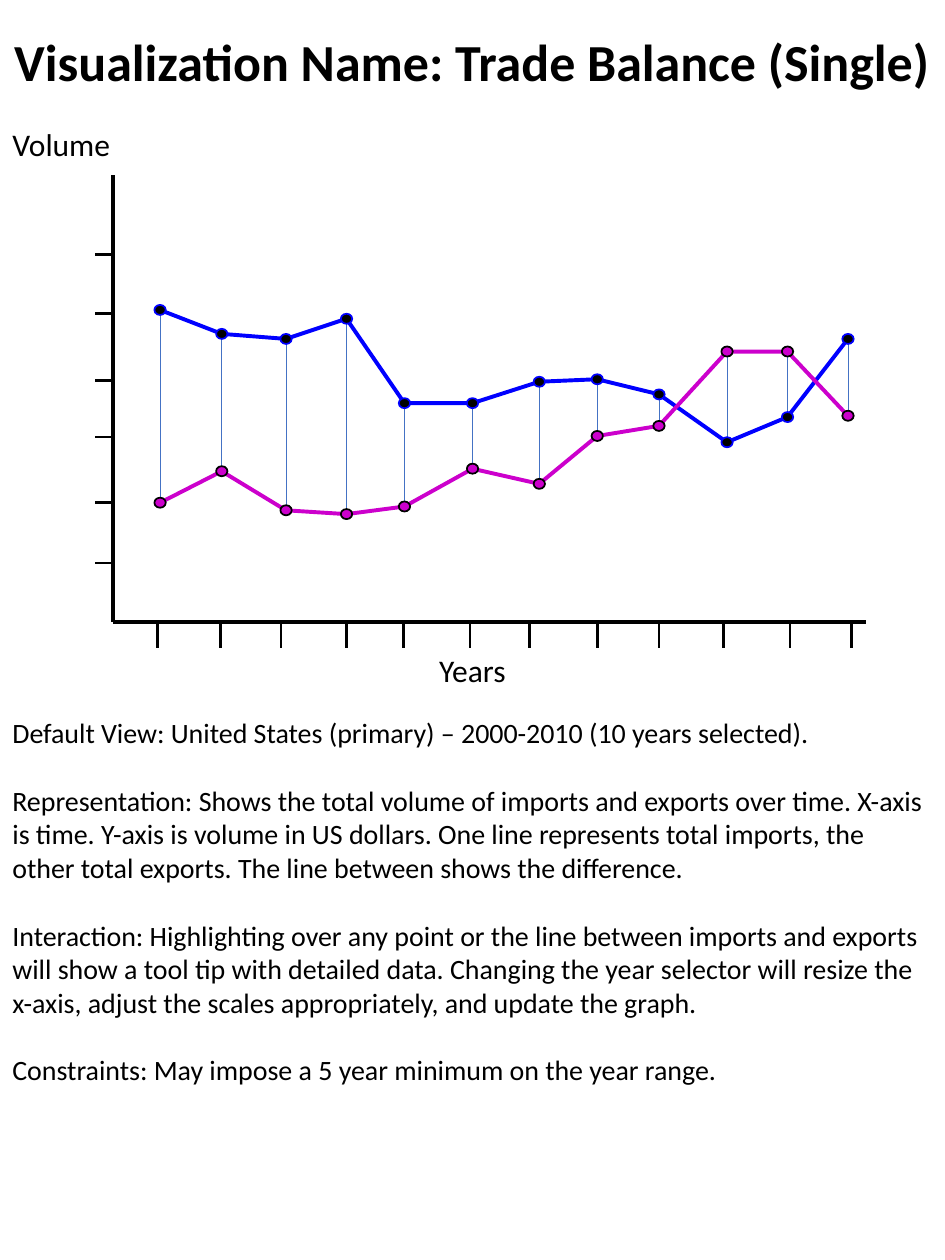
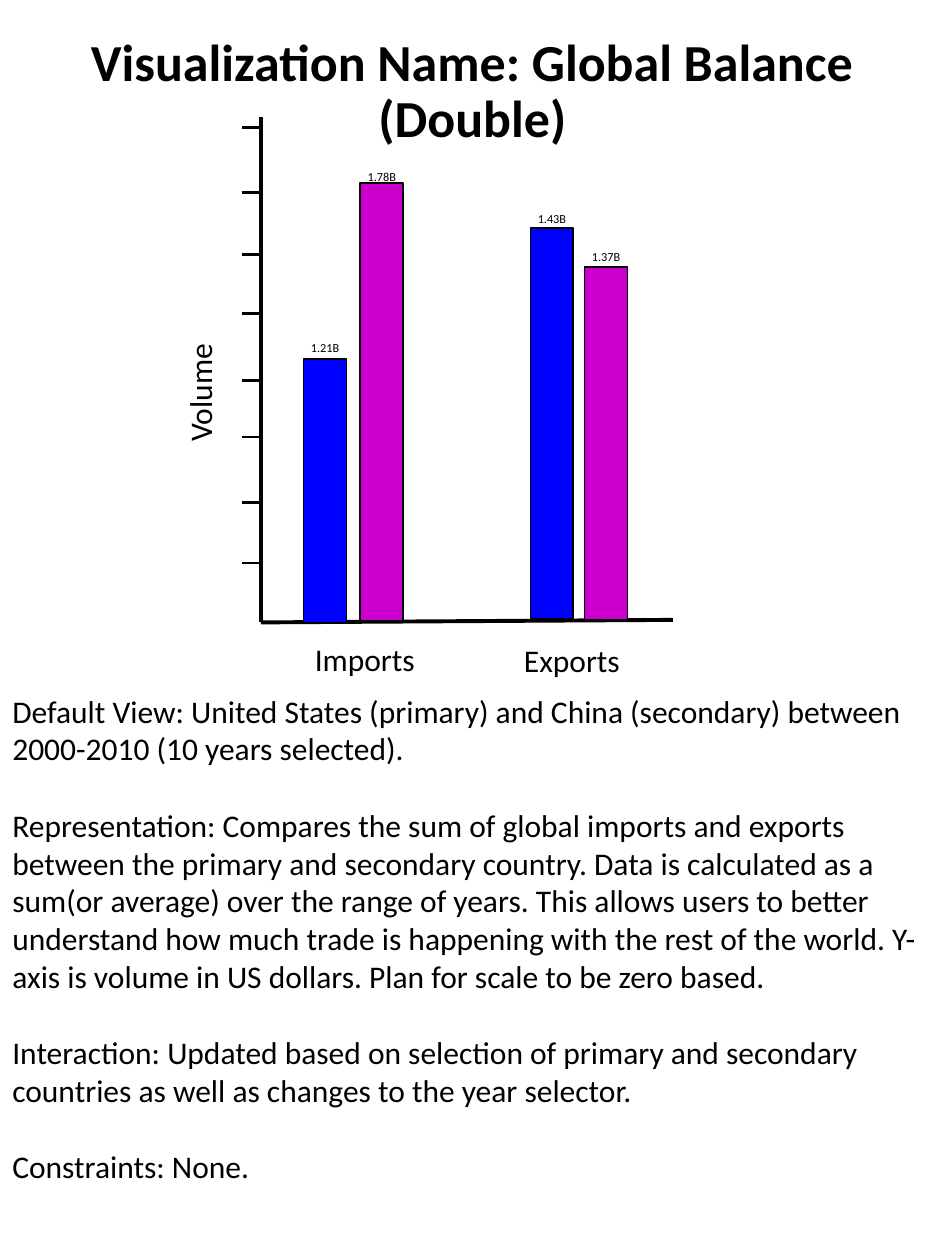
from lxml import etree
from pptx import Presentation
from pptx import util as u
from pptx.dml.color import RGBColor
from pptx.enum import shapes, text
from pptx.oxml import ns

FONT = "Calibri"
BLACK, BLUE, MAGENTA, STEEL = "000000", "0000FF", "CC00CC", "4472C4"
SLIDE_WIDTH, SLIDE_HEIGHT = 7.5, 10
BASELINE = 4.94
TICK = 0.15
VOLUME_TICKS = [4.47, 3.99, 3.47, 3.02, 2.49, 2.02, 1.53, 1.01]
YEAR_TICKS = [1.25, 1.75, 2.23, 2.75, 3.2, 3.73,
              4.2, 4.74, 5.23, 5.74, 6.27, 6.76]

# Heights on the page of the two lines, one value for each year
YEARS = [1.27, 1.76, 2.27, 2.75, 3.21, 3.75, 4.28, 4.74, 5.23, 5.77, 6.25, 6.73]
BLUE_LINE = [2.46, 2.65, 2.69, 2.53, 3.2, 3.2, 3.03, 3.01, 3.13, 3.51, 3.31, 2.69]
MAGENTA_LINE = [3.99, 3.74, 4.05, 4.08, 4.02, 3.72,
                3.84, 3.46, 3.38, 2.79, 2.79, 3.3]
MARKER_WIDTH, MARKER_HEIGHT = 0.09, 0.08

# Left, top, bottom, colour, value and top of the value's label
BAR_WIDTH = 0.34
BARS = [(2.41, 2.85, 4.94, BLUE, "1.21B", 2.65),
        (2.86, 1.45, 4.93, MAGENTA, "1.78B", 1.29),
        (4.21, 1.81, 4.91, BLUE, "1.43B", 1.63),
        (4.64, 2.12, 4.92, MAGENTA, "1.37B", 1.93)]

SINGLE_NOTES = [
    "Default View: United States (primary) – 2000-2010 (10 years selected).",
    "Representation: Shows the total volume of imports and exports over time. "
    "X-axis is time. Y-axis is volume in US dollars. One line represents total "
    "imports, the other total exports. The line between shows the difference.",
    "Interaction: Highlighting over any point or the line between imports and "
    "exports will show a tool tip with detailed data. Changing the year selector "
    "will resize the x-axis, adjust the scales appropriately, and update the graph.",
    "Constraints: May impose a 5 year minimum on the year range.",
]
DOUBLE_NOTES = [
    "Default View: United States (primary) and China (secondary) between "
    "2000-2010 (10 years selected).",
    "Representation: Compares the sum of global imports and exports between the "
    "primary and secondary country. Data is calculated as a sum(or average) over "
    "the range of years. This allows users to better understand how much trade is "
    "happening with the rest of the world. Y-axis is volume in US dollars. Plan "
    "for scale to be zero based.",
    "Interaction: Updated based on selection of primary and secondary countries "
    "as well as changes to the year selector.",
    "Constraints: None.",
]


def rgb(hex_colour):
    """Turn a hex string into a colour."""
    return RGBColor.from_string(hex_colour)


def box(left, top, width, height):
    """Give a position and size in inches as lengths."""
    return [u.Inches(side) for side in (left, top, width, height)]


def write(paragraph, words, size, bold=False):
    """Add one black run to a paragraph."""
    run = paragraph.add_run()
    run.text = words
    run.font.name = FONT
    run.font.size = u.Pt(size)
    run.font.bold = bold
    run.font.color.rgb = rgb(BLACK)


def add_titled_slide(deck, words):
    """Add a slide with the shared title style."""
    slide = deck.slides.add_slide(deck.slide_layouts[5])
    title = slide.shapes.title
    title.left, title.top, title.width, title.height = box(0, 0.24, SLIDE_WIDTH, 0.64)
    frame = title.text_frame
    frame.word_wrap = True
    frame.auto_size = text.MSO_AUTO_SIZE.NONE
    frame.vertical_anchor = text.MSO_ANCHOR.TOP
    paragraph = frame.paragraphs[0]
    paragraph.alignment = text.PP_ALIGN.CENTER
    paragraph.line_spacing = 0.9
    write(paragraph, words, 29.7, bold=True)
    return slide


def add_label(slide, words, place, size=18, wrap=False, rotation=0):
    """Add a one-line label; a wrapping one is centred in its width."""
    label = slide.shapes.add_textbox(*box(*place))
    label.rotation = rotation
    frame = label.text_frame
    frame.word_wrap = wrap
    frame.auto_size = text.MSO_AUTO_SIZE.SHAPE_TO_FIT_TEXT
    paragraph = frame.paragraphs[0]
    if wrap:
        paragraph.alignment = text.PP_ALIGN.CENTER
    write(paragraph, words, size)


def add_notes(slide, notes, top, height, size):
    """Add the description, with one line of space between paragraphs."""
    frame = slide.shapes.add_textbox(*box(0, top, SLIDE_WIDTH, height)).text_frame
    frame.word_wrap = True
    frame.auto_size = text.MSO_AUTO_SIZE.SHAPE_TO_FIT_TEXT
    for index, note in enumerate(notes):
        paragraph = frame.add_paragraph() if index else frame.paragraphs[0]
        if index:
            paragraph.space_before = u.Pt(round(size * 1.22, 1))
        write(paragraph, note, size)


def add_line(slide, start, end, colour=BLACK, weight=1.5):
    """Add a straight line without a shadow."""
    line = slide.shapes.add_connector(
        shapes.MSO_CONNECTOR.STRAIGHT, *box(*start, *end))
    line.line.color.rgb = rgb(colour)
    line.line.width = u.Pt(weight)
    etree.SubElement(line._element.spPr, ns.qn("a:effectLst"))


def add_filled(slide, kind, place, fill, outline=BLACK):
    """Add a filled preset shape with a thin outline."""
    shape = slide.shapes.add_shape(kind, *box(*place))
    shape.shadow.inherit = False
    shape.fill.solid()
    shape.fill.fore_color.rgb = rgb(fill)
    shape.line.color.rgb = rgb(outline)
    shape.line.width = u.Pt(1)


def add_axes(slide, left, top, right_end, ticks):
    """Add both axes and the ticks of the volume axis."""
    add_line(slide, (left, top), (left, BASELINE), weight=2.25)
    add_line(slide, (left, BASELINE), right_end, weight=2.25)
    for y in ticks:
        add_line(slide, (left, y), (left - TICK, y))


def add_series_line(slide, heights, colour):
    """Join the yearly points of one series."""
    points = [(u.Inches(x), u.Inches(y)) for x, y in zip(YEARS, heights)]
    builder = slide.shapes.build_freeform(*points[0], scale=1.0)
    builder.add_line_segments(points[1:], close=False)
    series = builder.convert_to_shape()
    series.shadow.inherit = False
    series.fill.background()
    series.line.color.rgb = rgb(colour)
    series.line.width = u.Pt(2.25)


def add_markers(slide, heights, fill, outline):
    """Put a dot on each yearly point of one series."""
    for x, y in zip(YEARS, heights):
        place = (x - MARKER_WIDTH / 2, y - MARKER_HEIGHT / 2,
                 MARKER_WIDTH, MARKER_HEIGHT)
        add_filled(slide, shapes.MSO_SHAPE.OVAL, place, fill, outline)


def build_single_balance(deck):
    """Build the slide with the two lines over the years."""
    slide = add_titled_slide(deck, "Visualization Name: Trade Balance (Single)")
    add_notes(slide, SINGLE_NOTES, 5.63, 3.06, 16)
    add_axes(slide, 0.9, 1.39, (6.87, BASELINE), VOLUME_TICKS[:6])
    for x in YEAR_TICKS:
        add_line(slide, (x, 4.95), (x, 5.14))
    add_label(slide, "Years", (0, 5.12, SLIDE_WIDTH, 0.4), wrap=True)
    add_label(slide, "Volume", (0, 0.94, 0.99, 0.4))
    for x, *ends in zip(YEARS, BLUE_LINE, MAGENTA_LINE):
        add_line(slide, (x, min(ends)), (x, max(ends)), STEEL, 0.5)
    add_series_line(slide, BLUE_LINE, BLUE)
    add_series_line(slide, MAGENTA_LINE, MAGENTA)
    add_markers(slide, MAGENTA_LINE, MAGENTA, BLACK)
    add_markers(slide, BLUE_LINE, BLACK, BLUE)


def build_double_balance(deck):
    """Build the slide with the paired bars."""
    slide = add_titled_slide(deck, "Visualization Name: Global Balance (Double)")
    add_notes(slide, DOUBLE_NOTES, 5.44, 4.64, 18)
    add_axes(slide, 2.07, 0.93, (5.34, 4.92), VOLUME_TICKS)
    add_label(slide, "Volume", (1.09, 2.91, 0.99, 0.4), rotation=270)
    add_label(slide, "Imports", (2.4, 5.03, 1, 0.4))
    add_label(slide, "Exports", (4.06, 5.04, 0.97, 0.4))
    for left, top, bottom, colour, value, label_top in BARS:
        add_filled(slide, shapes.MSO_SHAPE.RECTANGLE,
                   (left, top, BAR_WIDTH, bottom - top), colour)
        add_label(slide, value, (left - 0.04, label_top, 0.43, 0.22), size=7)


def main():
    """Build both slides and save them."""
    deck = Presentation()
    deck.slide_width = u.Inches(SLIDE_WIDTH)
    deck.slide_height = u.Inches(SLIDE_HEIGHT)
    build_single_balance(deck)
    build_double_balance(deck)
    deck.save("out.pptx")


main()
